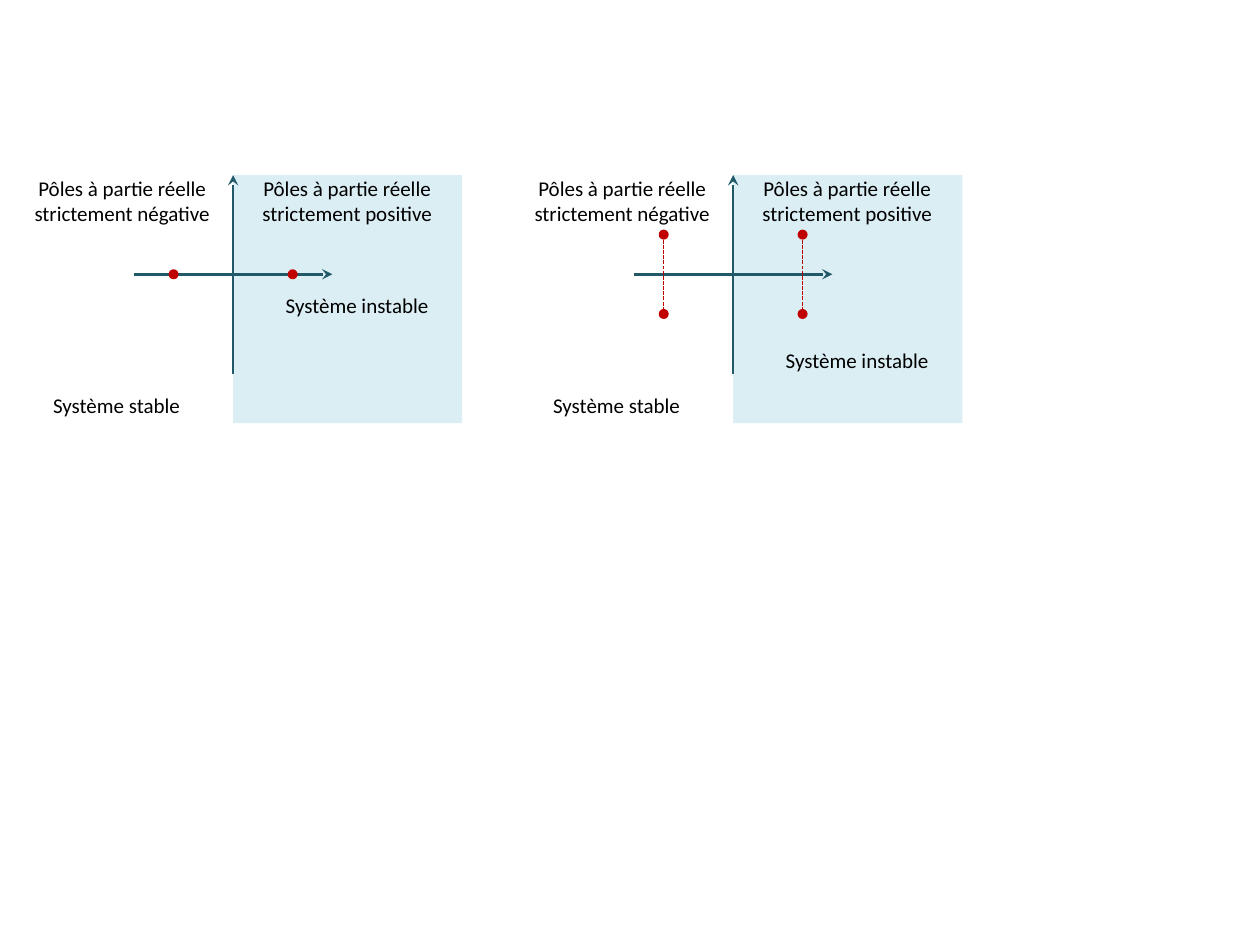
from lxml import etree
from pptx import Presentation
from pptx.dml.color import RGBColor
from pptx.enum import dml, shapes, text
from pptx.oxml import ns
from pptx.util import Cm, Pt

COLORS = {"unstable": "DBEEF4", "axis": "215968", "pole": "C00000", "text": "000000"}
FONT = "Calibri"

# Lengths in cm; every plane is laid out around its imaginary axis
TOP = 3.53
AXIS_HALF = 2
REAL_AXIS_Y = TOP + AXIS_HALF
HALF_WIDTH, HALF_HEIGHT = 4.62, 5
LEFT_EDGE = -4.47
CAPTION_WIDTH = 4.24
POLE_SIZE = 0.13

# Origin, height of the "instable" caption, pole offsets along both axes
PLANES = [
    (4.7, 2.36, 1.2, 0),
    (14.78, 3.48, 1.4, 0.8),
]


def color(name):
    return RGBColor.from_string(COLORS[name])


def add_area(group, kind, left, top, width, height, fill, line_width=None):
    area = group.shapes.add_shape(kind, Cm(left), Cm(top), Cm(width), Cm(height))
    area.shadow.inherit = False
    area.fill.solid()
    area.fill.fore_color.rgb = color(fill)
    if line_width:
        area.line.color.rgb = color(fill)
        area.line.width = Pt(line_width)
    else:
        area.line.fill.background()


def add_line(group, start, end, line_color, width, arrow=False, dash=None):
    line = group.shapes.add_connector(
        shapes.MSO_CONNECTOR.STRAIGHT, *(Cm(v) for v in (*start, *end)))
    line.line.color.rgb = color(line_color)
    line.line.width = Pt(width)
    if dash:
        line.line.dash_style = dash
    properties = line._element.spPr
    if arrow:
        outline = properties.find(ns.qn("a:ln"))
        etree.SubElement(outline, ns.qn("a:tailEnd"), type="stealth")
    etree.SubElement(properties, ns.qn("a:effectLst"))


def add_text(group, words, *, left, top, width, height=0.51, size=12):
    box = group.shapes.add_textbox(Cm(left), Cm(top), Cm(width), Cm(height))
    frame = box.text_frame
    frame.word_wrap = True
    frame.margin_left = frame.margin_right = frame.margin_top = frame.margin_bottom = 0
    paragraph = frame.paragraphs[0]
    paragraph.alignment = text.PP_ALIGN.CENTER
    run = paragraph.add_run()
    run.text = words
    run.font.name = FONT
    run.font.size = Pt(size)
    run.font.color.rgb = color("text")


def add_pole(group, x, y):
    add_area(group, shapes.MSO_SHAPE.OVAL, x - POLE_SIZE / 2, y - POLE_SIZE / 2,
             POLE_SIZE, POLE_SIZE, "pole", line_width=2)


def add_poles(group, x, spread):
    """One real pole, or a conjugate pair joined by a dashed line."""
    if not spread:
        add_pole(group, x, REAL_AXIS_Y)
        return
    upper, lower = REAL_AXIS_Y - spread, REAL_AXIS_Y + spread
    add_line(group, (x, upper), (x, lower), "pole", 0.75,
             dash=dml.MSO_LINE.SQUARE_DOT)
    add_pole(group, x, upper)
    add_pole(group, x, lower)


def add_plane(slide, origin, unstable_y, real, imaginary):
    plane = slide.shapes.add_group_shape()

    # Unstable half-plane and axes
    add_area(plane, shapes.MSO_SHAPE.RECTANGLE, origin, TOP,
             HALF_WIDTH, HALF_HEIGHT, "unstable")
    add_line(plane, (origin, TOP + 2 * AXIS_HALF), (origin, TOP), "axis", 1.5, arrow=True)
    add_line(plane, (origin - AXIS_HALF, REAL_AXIS_Y), (origin + AXIS_HALF, REAL_AXIS_Y),
             "axis", 1.5, arrow=True)

    # Captions
    add_text(plane, "Pôles à partie réelle strictement positive",
             left=origin + 0.3, top=TOP, width=4, height=1.02)
    add_text(plane, "Système instable",
             left=origin + 0.38, top=TOP + unstable_y, width=CAPTION_WIDTH)
    add_text(plane, "Système stable",
             left=origin + LEFT_EDGE, top=TOP + 4.39, width=CAPTION_WIDTH)
    add_text(plane, "Pôles à partie réelle strictement négative",
             left=origin + LEFT_EDGE, top=TOP, width=-LEFT_EDGE, height=1.02)

    # Poles on both sides of the imaginary axis
    for side in (-1, 1):
        add_poles(plane, origin + side * real, imaginary)


def main():
    deck = Presentation()
    deck.slide_width, deck.slide_height = Cm(25.4), Cm(19.05)
    slide = deck.slides.add_slide(deck.slide_layouts[6])
    for plane in PLANES:
        add_plane(slide, *plane)
    deck.save("out.pptx")


if __name__ == "__main__":
    main()
